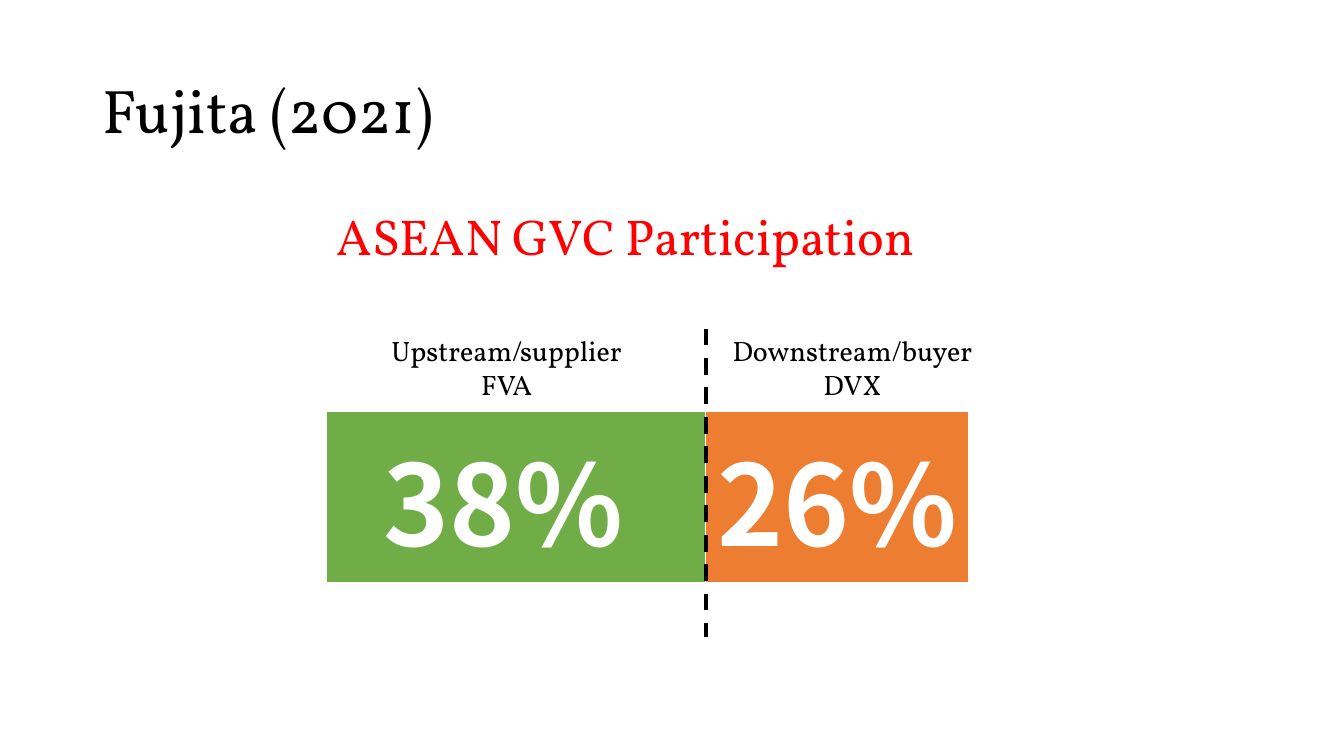
from lxml.etree import SubElement
from pptx import Presentation
from pptx.dml.color import RGBColor
from pptx.enum.dml import MSO_LINE
from pptx.enum.shapes import MSO_CONNECTOR
from pptx.enum.text import MSO_ANCHOR, PP_ALIGN
from pptx.oxml.ns import qn
from pptx.util import Inches, Pt

INK = {
    "black": "000000",
    "white": "FFFFFF",
    "red": "FF0000",
    "green": "70AD47",
    "orange": "ED7D31",
}


def write(frame, text, size, color="black", font="Vollkorn", bold=False,
          align=PP_ALIGN.LEFT, anchor=MSO_ANCHOR.TOP, space=1.0):
    frame.word_wrap = True
    frame.vertical_anchor = anchor
    for i, line in enumerate(text.split("\n")):
        para = frame.add_paragraph() if i else frame.paragraphs[0]
        para.alignment = align
        para.line_spacing = space
        run = para.add_run()
        run.text = line
        run.font.size = Pt(size)
        run.font.name = font
        run.font.bold = bold
        run.font.color.rgb = RGBColor.from_string(INK[color])


deck = Presentation()
deck.slide_width = Inches(13.33)
deck.slide_height = Inches(7.5)
slide = deck.slides.add_slide(deck.slide_layouts[6])
shapes = slide.shapes

title = shapes.add_textbox(Inches(0.92), Inches(0.4), Inches(11.5), Inches(1.45))
write(title.text_frame, "Fujita (2021)", 44, anchor=MSO_ANCHOR.MIDDLE, space=0.9)

shares = [("38% ", "green", 3.76), ("26% ", "orange", 2.61)]
grid = shapes.add_table(1, 2, Inches(3.24), Inches(4.08), Inches(6.37), Inches(1.71)).table
grid.rows[0].height = Inches(1.71)
for col, (share, color, width) in enumerate(shares):
    grid.columns[col].width = Inches(width)
    cell = grid.cell(0, col)
    props = cell._tc.get_or_add_tcPr()
    for side, weight in (("L", 1), ("R", 1), ("T", 1), ("B", 3)):
        edge = SubElement(props, qn("a:ln" + side), w=str(Pt(weight)))
        fill = SubElement(edge, qn("a:solidFill"))
        SubElement(fill, qn("a:srgbClr"), val=INK["white"])
    cell.fill.solid()
    cell.fill.fore_color.rgb = RGBColor.from_string(INK[color])
    cell.vertical_anchor = MSO_ANCHOR.MIDDLE
    write(cell.text_frame, share, 80, "white", "Noto Sans CJK SC", True,
          PP_ALIGN.CENTER, MSO_ANCHOR.MIDDLE)

split = shapes.add_connector(MSO_CONNECTOR.STRAIGHT, Inches(7), Inches(3.26), Inches(7), Inches(6.32))
split.line.color.rgb = RGBColor.from_string(INK["black"])
split.line.width = Pt(3)
split.line.dash_style = MSO_LINE.DASH
SubElement(split._element.spPr, qn("a:effectLst"))

head = shapes.add_textbox(Inches(3.24), Inches(1.99), Inches(6.46), Inches(0.71))
write(head.text_frame, "ASEAN GVC Participation", 36, "red")

for left, label in ((6.67, "Downstream/buyer\nDVX"), (3.24, "Upstream/supplier\nFVA")):
    box = shapes.add_textbox(Inches(left), Inches(3.26), Inches(3.57), Inches(0.77))
    write(box.text_frame, label, 20, align=PP_ALIGN.CENTER)

deck.save("out.pptx")
